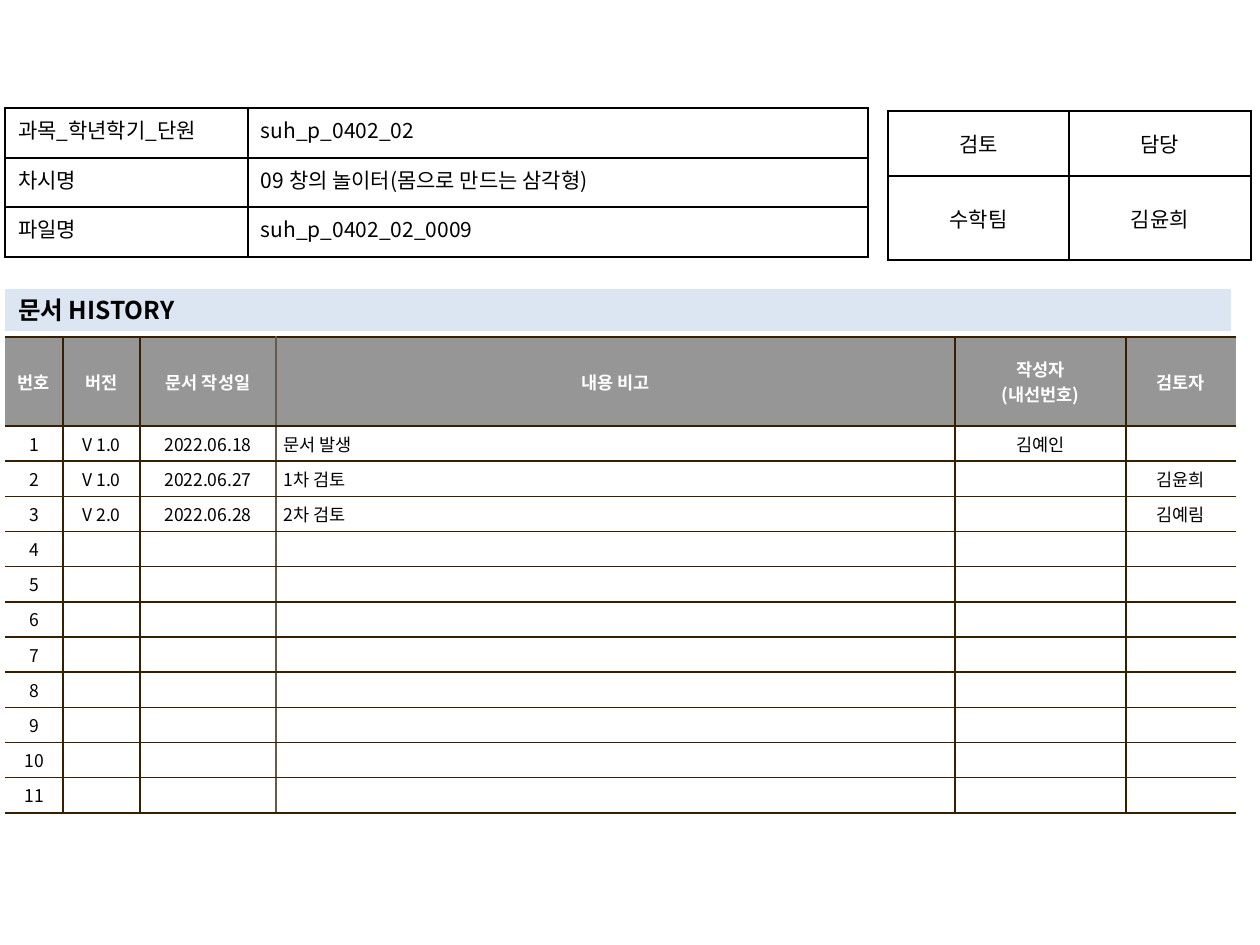
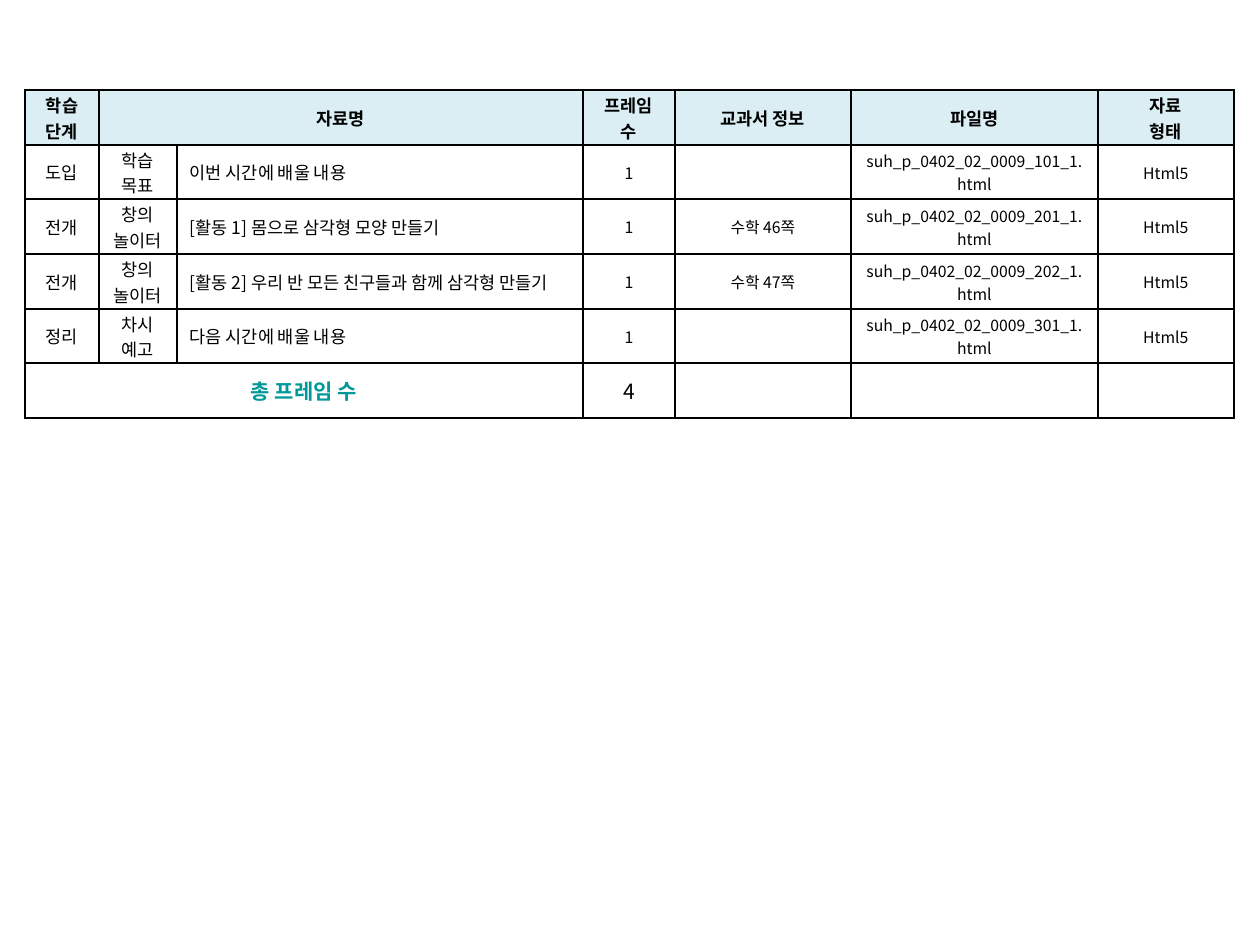
from lxml import etree
from pptx import Presentation
from pptx.dml.color import RGBColor
from pptx.enum.text import MSO_ANCHOR, MSO_AUTO_SIZE, PP_ALIGN
from pptx.oxml.ns import qn
from pptx.util import Emu, Pt

LEFT, CENTER, JUSTIFY = PP_ALIGN.LEFT, PP_ALIGN.CENTER, PP_ALIGN.JUSTIFY
TOP, MIDDLE = MSO_ANCHOR.TOP, MSO_ANCHOR.MIDDLE
NO_AUTOFIT = MSO_AUTO_SIZE.NONE
TITLE_ONLY, BLANK = 5, 6

FONT = "Noto Sans CJK KR"
PX = 914400 / 126
COLORS = {
    "black": "000000", "white": "FFFFFF", "teal": "009999",
    "band": "DCE6F2", "gray": "969696", "pale": "DBEEF4",
    "brown": "362000", "taupe": "645B4C",
}
CELL = {
    "size": 12, "bold": False, "color": "black", "align": CENTER,
    "anchor": MIDDLE, "fill": None, "insets": (13, 6, 13, 6),
    "borders": ("black",) * 4,
}

INFO = [
    ["과목_학년학기_단원", "suh_p_0402_02"],
    ["차시명", "09 창의 놀이터(몸으로 만드는 삼각형)"],
    ["파일명", "suh_p_0402_02_0009"],
]
REVIEW = [["검토", "담당"], ["수학팀", "김윤희"]]
HISTORY = [
    ["번호", "버전", "문서 작성일", "내용 비고", "작성자\n(내선번호)", "검토자"],
    ["1", "V 1.0", "2022.06.18", "문서 발생", "김예인", ""],
    ["2", "V 1.0", "2022.06.27", "1차 검토", "", "김윤희"],
    ["3", "V 2.0", "2022.06.28", "2차 검토", "", "김예림"],
] + [[str(n)] + [""] * 5 for n in range(4, 12)]


def frame_row(step, part, name, page, number):
    file_name = f"suh_p_0402_02_0009_{number}_1.html"
    return [step, part, name, "1", page, file_name, "Html5"]


MATERIALS = [
    ["학습 단계", "자료명", "", "프레임 수", "교과서 정보", "파일명", "자료\n형태"],
    frame_row("도입", "학습 목표", "이번 시간에 배울 내용", "", 101),
    frame_row("전개", "창의\n놀이터", "[활동 1] 몸으로 삼각형 모양 만들기", "수학 46쪽", 201),
    frame_row("전개", "창의\n놀이터", "[활동 2] 우리 반 모든 친구들과 함께 삼각형 만들기",
              "수학 47쪽", 202),
    frame_row("정리", "차시 예고", "다음 시간에 배울 내용", "", 301),
    ["총 프레임 수", "", "", "4", "", "", ""],
]


def px(n):
    return Emu(round(n * PX))


def rgb(name):
    return RGBColor.from_string(COLORS[name])


def write(tf, text, fmt):
    """Write one paragraph per line of text."""
    for i, line in enumerate(text.split("\n")):
        p = tf.paragraphs[0] if i == 0 else tf.add_paragraph()
        p.alignment = fmt["align"]
        if not line:
            # An empty cell must not force its row taller
            p._p.get_or_add_endParaRPr().set("sz", str(fmt["size"] * 100))
            continue
        r = p.add_run()
        r.text = line
        values = {"size": Pt(fmt["size"]), "bold": fmt["bold"], "name": FONT}
        for key, value in values.items():
            setattr(r.font, key, value)
        r.font.color.rgb = rgb(fmt["color"])
        etree.SubElement(r._r.rPr, qn("a:ea"), typeface=FONT)


def set_borders(cell, colors):
    """Set left, right, top and bottom lines; None hides a line."""
    tcPr = cell._tc.get_or_add_tcPr()
    for i, (side, color) in enumerate(zip("LRTB", colors)):
        ln = etree.Element(qn(f"a:ln{side}"), w=str(Pt(1)))
        if color:
            fill = etree.SubElement(ln, qn("a:solidFill"))
            etree.SubElement(fill, qn("a:srgbClr"), val=COLORS[color])
        else:
            etree.SubElement(ln, qn("a:noFill"))
        tcPr.insert(i, ln)


def format_cell(cell, text, fmt):
    sides = ("margin_left", "margin_top", "margin_right", "margin_bottom")
    for side, inset in zip(sides, fmt["insets"]):
        setattr(cell, side, px(inset))
    cell.vertical_anchor = fmt["anchor"]
    if fmt["fill"]:
        cell.fill.solid()
        cell.fill.fore_color.rgb = rgb(fmt["fill"])
    else:
        cell.fill.background()
    set_borders(cell, fmt["borders"])
    write(cell.text_frame, text, fmt)


def add_grid(s, left, top, widths, heights, data, style, merges=()):
    """Add a table; style(row, col) gives what differs from CELL."""
    size = len(data), len(widths), px(left), px(top), px(sum(widths)), px(sum(heights))
    table = s.shapes.add_table(*size).table
    table.first_row = table.horz_banding = False
    for column, width in zip(table.columns, widths):
        column.width = px(width)
    for row, height in zip(table.rows, heights):
        row.height = px(height)
    for i, line in enumerate(data):
        for j, text in enumerate(line):
            format_cell(table.cell(i, j), text, {**CELL, **style(i, j)})
    for row, first, last in merges:
        table.cell(row, first).merge(table.cell(row, last))


def add_title_band(s, text, left, top, width, height):
    sp = s.shapes.title
    box = {"left": left, "top": top, "width": width, "height": height}
    for key, value in box.items():
        setattr(sp, key, px(value))
    sp.fill.solid()
    sp.fill.fore_color.rgb = rgb("band")
    tf = sp.text_frame
    layout = {
        "auto_size": NO_AUTOFIT, "word_wrap": True, "vertical_anchor": MIDDLE,
        "margin_left": px(13), "margin_right": px(13),
        "margin_top": px(6), "margin_bottom": px(6),
    }
    for key, value in layout.items():
        setattr(tf, key, value)
    write(tf, text, {**CELL, "size": 14, "bold": True, "align": LEFT})


def info_style(row, col):
    return {"anchor": TOP, "align": LEFT if col else JUSTIFY}


def review_style(row, col):
    return {}


def history_style(row, col):
    # Open outer sides, with a lighter line before the remarks column
    lines = [None, "brown", "brown", "taupe", "brown", "brown", None]
    fmt = {
        "size": 10, "insets": (8, 5, 8, 5), "fill": "white",
        "borders": (lines[col], lines[col + 1], "brown", "brown"),
    }
    if row == 0:
        fmt.update(fill="gray", color="white", bold=True)
    elif col == 3:
        fmt["align"] = LEFT
    return fmt


def materials_style(row, col):
    fmt = {"size": 10, "insets": (13, 2, 13, 1)}
    if row == 0:
        fmt.update(bold=True, fill="pale")
    elif row == len(MATERIALS) - 1:
        fmt["size"] = 12
        if col == 0:
            fmt.update(color="teal", bold=True)
    elif col == 2:
        fmt["align"] = LEFT
    elif col > 2:
        fmt["size"] = 9
    return fmt


def build_history_slide(prs):
    s = prs.slides.add_slide(prs.slide_layouts[TITLE_ONLY])
    add_grid(s, 5, 337, [58, 77, 136, 679, 171, 110], [89] + [31] * 11,
             HISTORY, history_style)
    add_grid(s, 888, 111, [181, 182], [65, 84], REVIEW, review_style)
    add_title_band(s, "문서 HISTORY", 5, 289, 1226, 42)
    add_grid(s, 5, 108, [243, 620], [50, 49, 50], INFO, info_style)


def build_materials_slide(prs):
    s = prs.slides.add_slide(prs.slide_layouts[BLANK])
    add_grid(s, 25, 90, [74, 78, 406, 92, 176, 247, 136], [55, 54, 55] * 2,
             MATERIALS, materials_style, merges=[(0, 1, 2), (5, 0, 2)])


def main():
    prs = Presentation()
    prs.slide_width, prs.slide_height = px(1260), px(945)
    build_history_slide(prs)
    build_materials_slide(prs)
    prs.save("out.pptx")


if __name__ == "__main__":
    main()
